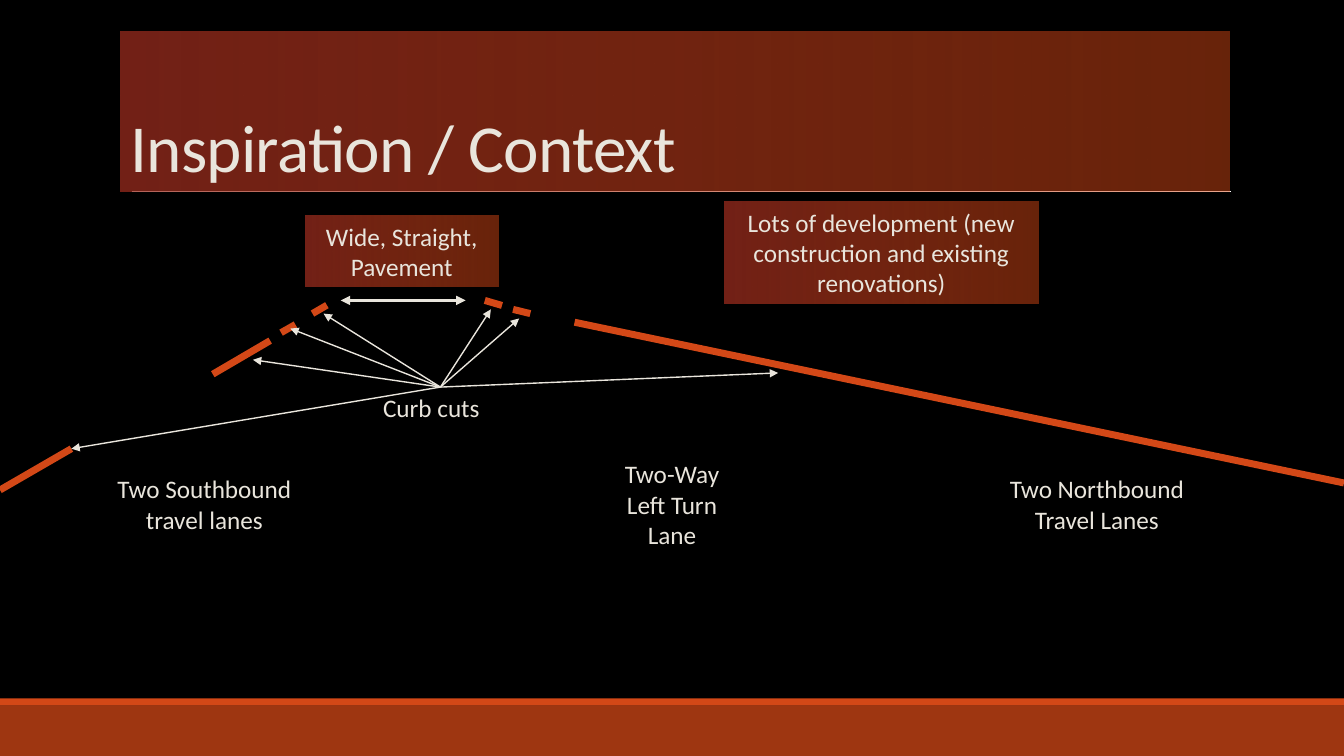
from dataclasses import dataclass

from lxml import etree
from pptx import Presentation
from pptx.dml.color import RGBColor
from pptx.enum.shapes import MSO_CONNECTOR, MSO_SHAPE
from pptx.enum.text import MSO_ANCHOR, PP_ALIGN
from pptx.oxml.ns import qn
from pptx.util import Pt

STRAIGHT = MSO_CONNECTOR.STRAIGHT
RECT = MSO_SHAPE.RECTANGLE
LEFT, CENTER = PP_ALIGN.LEFT, PP_ALIGN.CENTER
TOP, MIDDLE, BOTTOM = MSO_ANCHOR.TOP, MSO_ANCHOR.MIDDLE, MSO_ANCHOR.BOTTOM


@dataclass(frozen=True)
class Theme:
    font: str = "Calibri"
    back: str = "000000"
    text: str = "E9E5DC"
    rule: str = "FFFFFF"
    road: str = "D34817"
    base: str = "9E3611"
    deep: str = "9B2D1F"
    title: int = 48
    body: int = 18


THEME = Theme()


def rgb(code):
    return RGBColor.from_string(code)


def add_rect(slide, box):
    shape = slide.shapes.add_shape(RECT, *map(Pt, box))
    shape.shadow.inherit = False
    shape.line.fill.background()
    return shape


def add_band(slide, box, color):
    fill = add_rect(slide, box).fill
    fill.solid()
    fill.fore_color.rgb = rgb(color)


def fade(shape):
    """Fill with a see-through gradient that runs left to right."""
    fill = shape.fill
    fill.gradient()
    fill.gradient_angle = 0
    for stop, color, place in zip(fill.gradient_stops, (THEME.deep, THEME.road), (0, 1)):
        stop.color.rgb = rgb(color)
        stop.position = place
    tones = shape.element.spPr.iter(qn("a:srgbClr"))
    for tone, alpha in zip(list(tones), (75000, 50000)):
        etree.SubElement(tone, qn("a:alpha")).set("val", str(alpha))


def write(shape, text, size=THEME.body, align=CENTER, anchor=TOP):
    frame = shape.text_frame
    frame.word_wrap = True
    frame.vertical_anchor = anchor
    para = frame.paragraphs[0]
    para.alignment = align
    run = para.add_run()
    run.text = text
    style = {"name": THEME.font, "size": Pt(size)}
    for key, value in style.items():
        setattr(run.font, key, value)
    run.font.color.rgb = rgb(THEME.text)
    return para


def add_label(slide, box, text, align=CENTER):
    write(slide.shapes.add_textbox(*map(Pt, box)), text, align=align)


def add_panel(slide, box, text, **style):
    shape = add_rect(slide, box)
    fade(shape)
    return write(shape, text, **style)


def add_line(slide, start, end, color, width, heads=()):
    """Draw a line; heads names the ends that carry an arrow."""
    line = slide.shapes.add_connector(STRAIGHT, *map(Pt, (*start, *end)))
    line.line.color.rgb = rgb(color)
    line.line.width = Pt(width)
    props = line.element.spPr
    for head in heads:
        etree.SubElement(props.find(qn("a:ln")), qn(f"a:{head}")).set("type", "triangle")
    etree.SubElement(props, qn("a:effectLst"))


def add_title(slide):
    para = add_panel(slide, (86, 22.3, 792.5, 114.5), "Inspiration / Context",
                     size=THEME.title, align=LEFT, anchor=BOTTOM)
    para.line_spacing = 0.85
    para.runs[0].font._element.set("spc", "-50")


def main():
    deck = Presentation()
    deck.slide_width, deck.slide_height = Pt(960), Pt(540)
    slide = deck.slides.add_slide(deck.slide_layouts[6])
    back = slide.background.fill
    back.solid()
    back.fore_color.rgb = rgb(THEME.back)

    add_band(slide, (0, 504, 960, 36), THEME.base)
    add_band(slide, (0, 498.8, 960, 5.2), THEME.road)
    add_line(slide, (94, 136.8), (879, 136.8), THEME.rule, 0.5)
    add_title(slide)

    lanes = [
        ((432, 324, 96, 72.7), "Two-Way Left Turn Lane"),
        ((705, 334.8, 157, 51), "Two Northbound Travel Lanes"),
        ((66, 334.8, 160, 51), "Two Southbound travel lanes"),
    ]
    for box, text in lanes:
        add_label(slide, box, text)
    add_label(slide, (266.5, 276.5, 96, 29), "Curb cuts", LEFT)

    curbs = [
        ((51, 320.5), (0, 350)),
        ((193, 243.3), (152, 267.3)),
        ((211, 231.8), (200.8, 237.6)),
        ((233.5, 218), (223.2, 224)),
        ((358.6, 218.2), (346.3, 214.6)),
        ((378.8, 224), (366.5, 221)),
        ((410.4, 230.2), (960, 345)),
    ]
    for start, end in curbs:
        add_line(slide, start, end, THEME.road, 5)

    hub = (314.6, 276.5)
    cuts = [(51, 320.5), (180.7, 257), (207.4, 234.7), (231.1, 224),
            (350.6, 221), (370.8, 227.5), (555.8, 266.4)]
    for cut in cuts:
        add_line(slide, hub, cut, THEME.text, 1, ["tailEnd"])
    add_line(slide, (243.4, 214.6), (332.6, 214.6), THEME.text, 2.25,
             ["headEnd", "tailEnd"])

    add_panel(slide, (218, 153.8, 138, 51), "Wide, Straight, Pavement", anchor=MIDDLE)
    add_panel(slide, (517.5, 144, 224, 72.7), anchor=MIDDLE,
              text="Lots of development (new construction and existing renovations)")
    deck.save("out.pptx")


if __name__ == "__main__":
    main()
